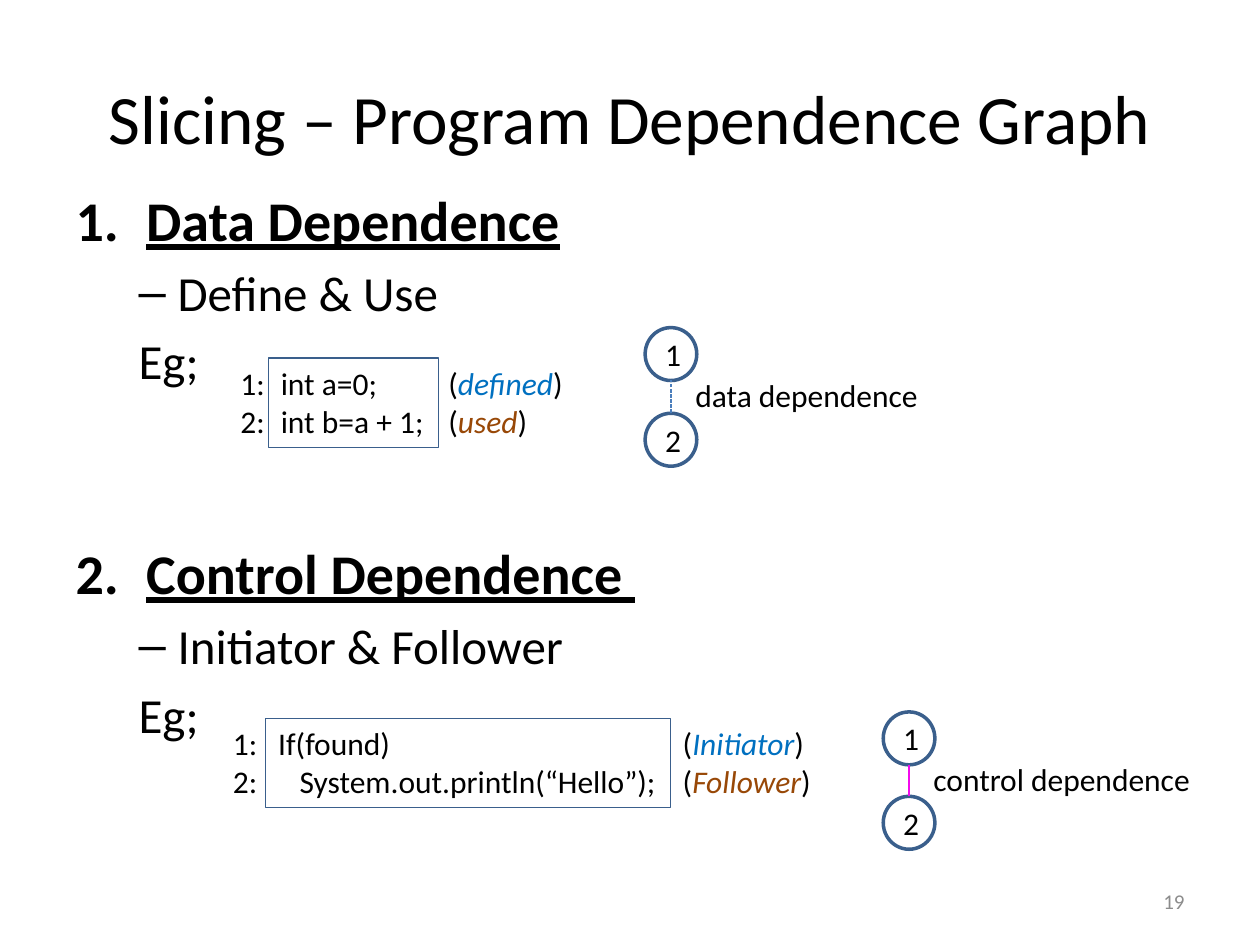
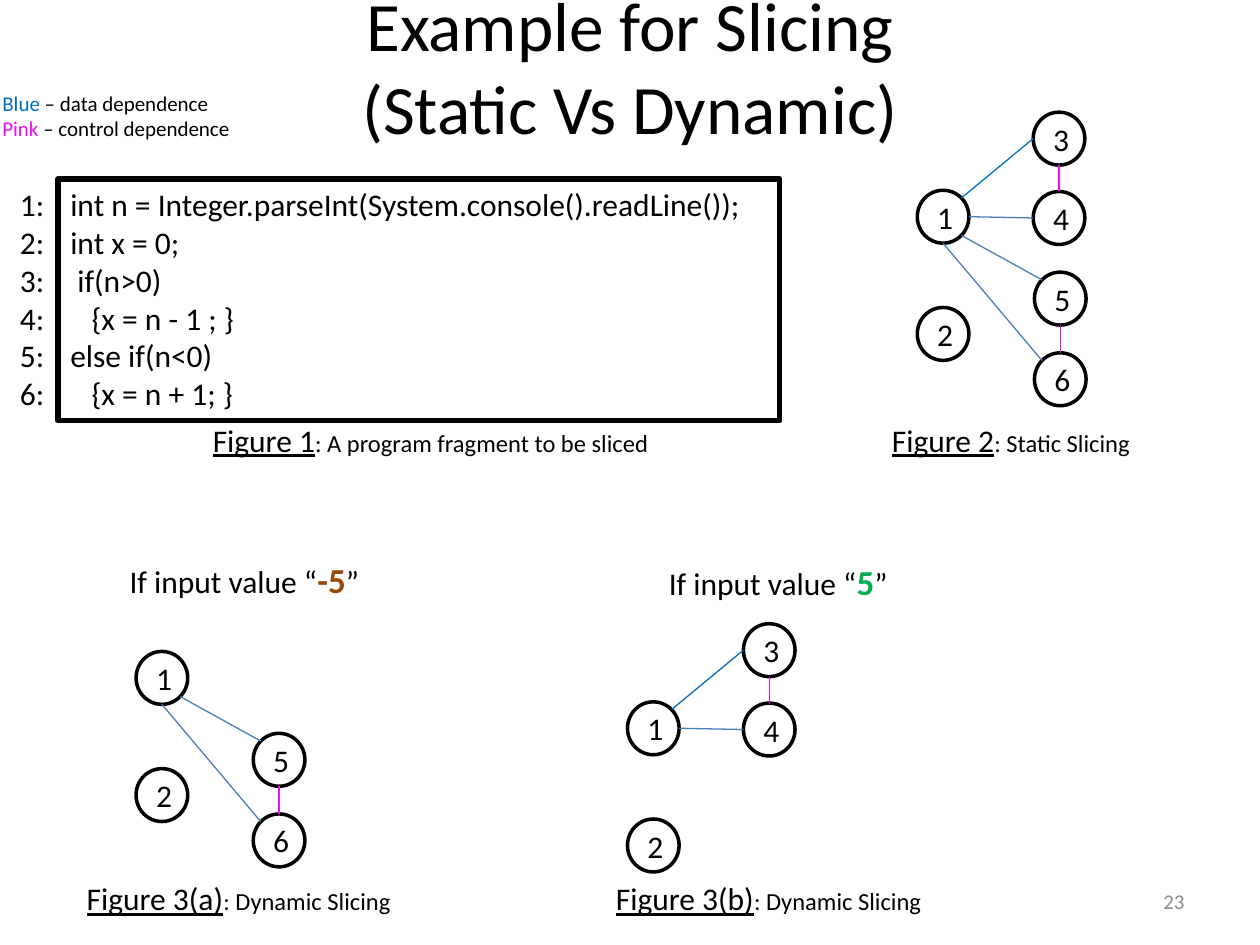
from dataclasses import dataclass
from math import cos, radians, sin
from typing import NamedTuple, Optional

from lxml.etree import SubElement
from pptx import Presentation
from pptx.dml.color import RGBColor
from pptx.enum.dml import MSO_LINE
from pptx.enum.shapes import MSO_CONNECTOR, MSO_SHAPE
from pptx.enum.text import MSO_ANCHOR, MSO_AUTO_SIZE, PP_ALIGN
from pptx.oxml.ns import qn
from pptx.util import Inches, Pt

FONT = "Calibri"
COLORS = {
    "black": "000000",
    "white": "FFFFFF",
    "gray": "8C8C8C",
    "outline": "3A5F8C",
    "edge": "4B7EBC",
    "blue": "0070C0",
    "pink": "F30BED",
    "brown": "984807",
    "green": "00B050",
}
NODE_W, NODE_H = 0.41, 0.42
# Angles of the points where edges meet a node, clockwise from the right
SITES = {"E": 0, "SE": 45, "S": 90, "W": 180, "NW": 225, "N": 270, "NE": 315}


class Span(NamedTuple):
    text: str
    color: str = "black"
    size: Optional[float] = None
    bold: bool = False
    italic: bool = False
    underline: bool = False


class Box(NamedTuple):
    x: float
    y: float
    w: float
    h: float


class Edge(NamedTuple):
    start: str
    start_site: str
    end: str
    end_site: str
    color: str = "edge"
    dash: bool = False


class Item(NamedTuple):
    """One line of the body list."""
    span: Span
    level: int
    margin: float
    indent: float
    bullet: str = "buNone"
    attrs: dict = {}
    space: Optional[float] = None


@dataclass
class Graph:
    x: float
    y: float
    nodes: dict  # label -> offset from the first node
    edges: list
    outline: str = "black"


def rgb(name: str) -> RGBColor:
    return RGBColor.from_string(COLORS[name])


def place(sp, box: Box) -> None:
    sp.left, sp.top, sp.width, sp.height = (Inches(v) for v in box)


def write(tf, lines, *, size=18, color="black", align=PP_ALIGN.LEFT,
          anchor=MSO_ANCHOR.TOP, wrap=True, grow=False) -> None:
    """Fill a frame; each line is a string, a Span or a list of Spans."""
    tf.word_wrap = wrap
    tf.vertical_anchor = anchor
    tf.auto_size = MSO_AUTO_SIZE.SHAPE_TO_FIT_TEXT if grow else MSO_AUTO_SIZE.NONE
    for i, line in enumerate(lines):
        p = tf.paragraphs[0] if i == 0 else tf.add_paragraph()
        p.alignment = align
        if isinstance(line, str):
            line = Span(line, color)
        for span in [line] if isinstance(line, Span) else line:
            for j, part in enumerate(span.text.split("\n")):
                if j:
                    p.add_line_break()
                r = p.add_run()
                r.text = part
                font = r.font
                font.name = FONT
                font.size = Pt(span.size or size)
                font.color.rgb = rgb(span.color)
                font.bold, font.italic = span.bold, span.italic
                font.underline = span.underline


def add_text(s, box: Box, lines, **fmt) -> None:
    sp = s.shapes.add_textbox(0, 0, 0, 0)
    place(sp, box)
    write(sp.text_frame, lines, **{"wrap": False, "grow": True, **fmt})


def add_outlined(s, kind, box: Box, lines, line: str, width: float,
                 fill: Optional[str] = None, **fmt) -> None:
    sp = s.shapes.add_shape(kind, 0, 0, 0, 0)
    place(sp, box)
    sp.shadow.inherit = False
    if fill:
        sp.fill.solid()
        sp.fill.fore_color.rgb = rgb(fill)
    else:
        sp.fill.background()
    sp.line.color.rgb = rgb(line)
    sp.line.width = Pt(width)
    write(sp.text_frame, lines, **fmt)


def add_edge(s, start, end, color: str, dash: bool) -> None:
    cxn = s.shapes.add_connector(MSO_CONNECTOR.STRAIGHT,
                                 *(Inches(v) for v in (*start, *end)))
    cxn.line.color.rgb = rgb(color)
    cxn.line.width = Pt(0.75)
    if dash:
        cxn.line.dash_style = MSO_LINE.SQUARE_DOT
    SubElement(cxn._element.spPr, qn("a:effectLst"))


def add_graph(s, graph: Graph) -> None:
    def site(label: str, name: str):
        dx, dy = graph.nodes[label]
        angle = radians(SITES[name])
        return (graph.x + dx + NODE_W / 2 * (1 + cos(angle)),
                graph.y + dy + NODE_H / 2 * (1 + sin(angle)))

    for label, (dx, dy) in graph.nodes.items():
        add_outlined(s, MSO_SHAPE.OVAL,
                     Box(graph.x + dx, graph.y + dy, NODE_W, NODE_H), [label],
                     graph.outline, 2, fill="white",
                     align=PP_ALIGN.CENTER, anchor=MSO_ANCHOR.MIDDLE)
    for e in graph.edges:
        if e.start in graph.nodes and e.end in graph.nodes:
            add_edge(s, site(e.start, e.start_site), site(e.end, e.end_site),
                     e.color, e.dash)


def add_slide(prs, layout: int, title: str, title_box: Box, number: int):
    s = prs.slides.add_slide(prs.slide_layouts[layout])
    place(s.shapes.title, title_box)
    write(s.shapes.title.text_frame, [title], size=39.6,
          align=PP_ALIGN.CENTER, anchor=MSO_ANCHOR.MIDDLE)
    add_text(s, Box(7.17, 6.95, 2.33, 0.4), [str(number)], size=12, color="gray",
             align=PP_ALIGN.RIGHT, anchor=MSO_ANCHOR.MIDDLE, wrap=True, grow=False)
    return s


def add_list(s, box: Box, items) -> None:
    sp = s.placeholders[1]
    place(sp, box)
    tf = sp.text_frame
    write(tf, [item.span for item in items])
    for p, item in zip(tf.paragraphs, items):
        p.level = item.level
        pPr = p._p.get_or_add_pPr()
        pPr.set("marL", str(Inches(item.margin)))
        pPr.set("indent", str(Inches(item.indent)))
        SubElement(pPr, qn(f"a:{item.bullet}"), item.attrs)
        if item.space is not None:
            p.space_before = Pt(item.space)


def numbered(text: str, number: int, level: int, space: float) -> Item:
    return Item(Span(text, size=32, bold=True, underline=True), level, 0.56, -0.56,
                "buAutoNum", {"type": "arabicPeriod", "startAt": str(number)}, space)


def dashed(text: str) -> Item:
    return Item(Span(text, size=28), 1, 0.81, -0.31, "buChar", {"char": "–"})


def plain(text: str) -> Item:
    return Item(Span(text, size=28), 1, 0.5, 0)


def role(text: str, color: str) -> list:
    return [Span("("), Span(text, color, italic=True), Span(")")]


def line_numbers(count: int) -> list:
    return [f"{n}:" for n in range(1, count + 1)]


def dependence_slide(prs) -> None:
    s = add_slide(prs, 1, "Slicing – Program Dependence Graph",
                  Box(0.5, 0.3, 9, 1.25), 19)
    add_list(s, Box(0.5, 1.42, 9, 5.53), [
        numbered("Data Dependence", 1, 0, 0),
        dashed("Define & Use"),
        plain("Eg;"),
        numbered("Control Dependence ", 2, 1, 85),
        dashed("Initiator & Follower"),
        plain("Eg;"),
    ])

    # Code samples: top, number x, code x and width, role x and width
    samples = [
        (2.84, 1.81, 2.13, 1.35, 3.46, 1.14, ["int a=0;", "int b=a + 1;"],
         ("defined", "used")),
        (5.7, 1.75, 2.11, 3.21, 5.32, 1.23,
         ["If(found)", "   System.out.println(“Hello”);"],
         ("Initiator", "Follower")),
    ]
    for y, num_x, code_x, code_w, role_x, role_w, code, roles in samples:
        add_outlined(s, MSO_SHAPE.RECTANGLE, Box(code_x, y, code_w, 0.71), code,
                     "outline", 0.75, wrap=False, grow=True)
        add_text(s, Box(role_x, y, role_w, 0.71),
                 [role(t, c) for t, c in zip(roles, ("blue", "brown"))])
        add_text(s, Box(num_x, y, 0.4, 0.71), line_numbers(2))

    # Two-node graphs with their labels
    pairs = [
        (5.12, 2.6, 0.68, "edge", True, "data dependence", 1.99),
        (7.01, 5.65, 0.67, "pink", False, "control dependence", 2.27),
    ]
    for x, y, step, color, dash, label, width in pairs:
        add_graph(s, Graph(x, y, {"1": (0, 0), "2": (0, step)},
                           [Edge("2", "N", "1", "S", color, dash)], "outline"))
        add_text(s, Box(x + 0.3, y + 0.335, width, 0.4), [label])


def example_slide(prs) -> None:
    s = add_slide(prs, 5, "Example for Slicing\n(Static Vs Dynamic)",
                  Box(0.5, 0.17, 9, 0.7), 23)

    # Program and legend
    add_outlined(s, MSO_SHAPE.RECTANGLE, Box(0.46, 1.42, 5.73, 1.92), [
        "int n = Integer.parseInt(System.console().readLine());",
        "int x = 0;",
        " if(n>0)",
        "   {x = n - 1 ; }",
        "else if(n<0)",
        "   {x = n + 1; }",
    ], "black", 3, grow=True)
    add_text(s, Box(0.06, 1.42, 0.4, 1.92), line_numbers(6))
    add_text(s, Box(-0.08, 0.67, 2.02, 0.5), [
        [Span("Blue", "blue"), Span(" – data dependence")],
        [Span("Pink", "pink"), Span(" – control dependence")],
    ], size=12)

    # Captions
    for x, y, w, name, caption in [
        (1.59, 3.29, 3.69, "Figure 1", "A program fragment to be sliced"),
        (6.98, 3.29, 2.11, "Figure 2", "Static Slicing"),
        (0.59, 6.93, 2.64, "Figure 3(a)", "Dynamic Slicing"),
        (4.79, 6.93, 2.65, "Figure 3(b)", "Dynamic Slicing"),
    ]:
        add_text(s, Box(x, y, w, 0.4),
                 [[Span(name, underline=True), Span(f": {caption}", size=14)]])

    # Input values
    for x, y, w, value, color in [(0.93, 4.38, 2.04, "-5", "brown"),
                                  (5.21, 4.4, 1.96, "5", "green")]:
        add_text(s, Box(x, y, w, 0.44),
                 [[Span("If input value “"), Span(value, color, 20, bold=True),
                   Span("”")]])

    # The static graph and the two slices taken from it
    offsets = {"1": (0, 0), "2": (0, 0.93), "3": (0.92, -0.62),
               "4": (0.92, 0.01), "5": (0.93, 0.65), "6": (0.93, 1.29)}
    edges = [
        Edge("3", "W", "1", "NE", "blue"),
        Edge("4", "W", "1", "E"),
        Edge("5", "NW", "1", "SE"),
        Edge("6", "NW", "1", "S"),
        Edge("4", "N", "3", "S", "pink"),
        Edge("6", "N", "5", "S", "pink"),
    ]
    for x, y, labels in [(7.28, 1.51, "123456"), (1.08, 5.17, "1256"),
                         (4.98, 5.57, "1234")]:
        add_graph(s, Graph(x, y, {n: offsets[n] for n in labels}, edges))


def main() -> None:
    prs = Presentation()
    prs.slide_width, prs.slide_height = Inches(10), Inches(7.5)
    dependence_slide(prs)
    example_slide(prs)
    prs.save("out.pptx")


if __name__ == "__main__":
    main()
